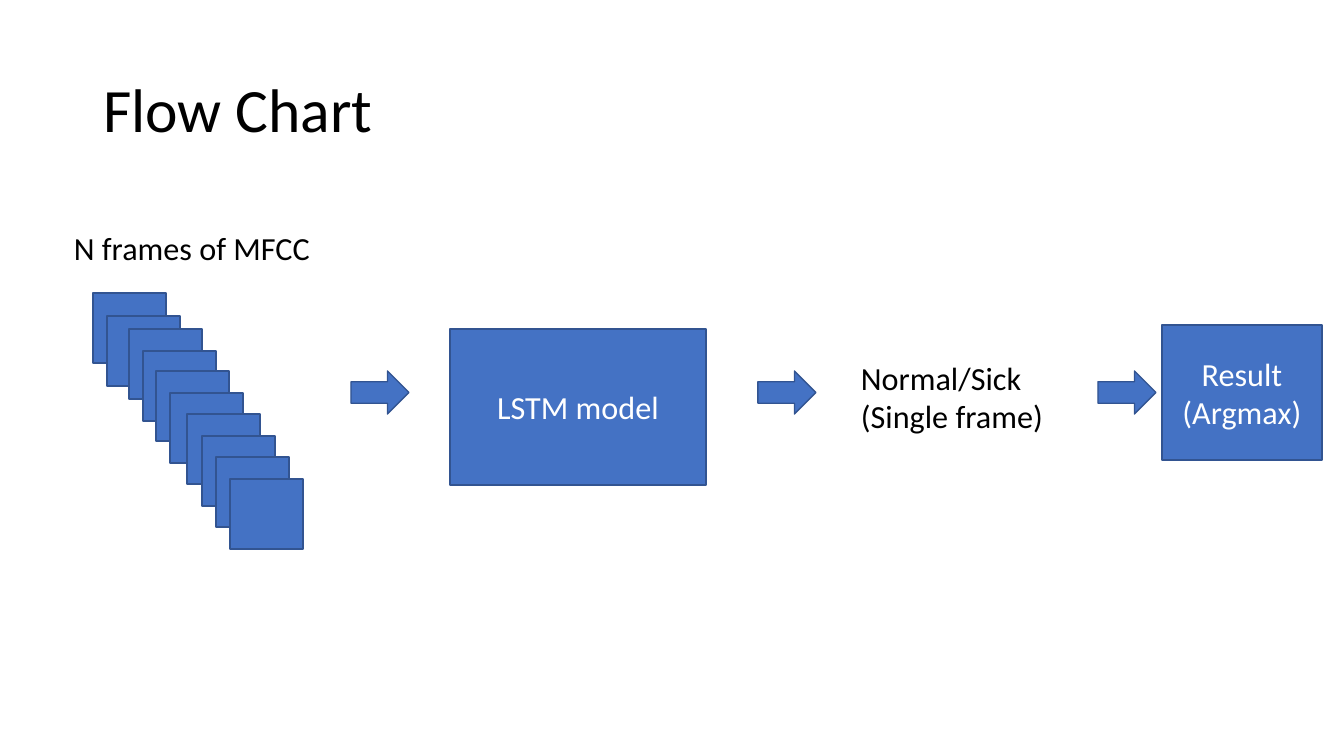
from pptx import Presentation
from pptx.dml.color import RGBColor
from pptx.enum.shapes import MSO_SHAPE
from pptx.enum.text import MSO_ANCHOR, MSO_AUTO_SIZE, PP_ALIGN
from pptx.util import Emu, Pt

RECTANGLE = MSO_SHAPE.RECTANGLE
RIGHT_ARROW = MSO_SHAPE.RIGHT_ARROW
MIDDLE = MSO_ANCHOR.MIDDLE
TOP = MSO_ANCHOR.TOP
GROW = MSO_AUTO_SIZE.SHAPE_TO_FIT_TEXT
NO_FIT = MSO_AUTO_SIZE.NONE
LEFT = PP_ALIGN.LEFT
CENTER = PP_ALIGN.CENTER

EMU_PER_PIXEL = 914400 / 100.8
FONT = "Calibri"
BLACK = "000000"
WHITE = "FFFFFF"
BLUE = "4472C4"
DARK_BLUE = "325491"

FRAME_CORNERS = [
    (93, 293), (107, 316), (129, 329), (143, 351), (156, 371),
    (170, 393), (187, 414), (202, 436), (216, 457), (230, 479),
]
ARROW_LEFTS = [351, 758, 1098]


def px(pixels):
    """Turn whole pixels into EMU."""
    return Emu(round(pixels * EMU_PER_PIXEL))


def color(hex_string):
    """Turn a hex string into a colour."""
    return RGBColor.from_string(hex_string)


def write(frame, lines, size, hex_string, align=LEFT, anchor=TOP):
    """Fill a text frame with one paragraph per line."""
    frame.text = "\n".join(lines)
    frame.vertical_anchor = anchor
    for para in frame.paragraphs:
        para.alignment = align
        para.font.name = FONT
        para.font.size = Pt(size)
        para.font.color.rgb = color(hex_string)


def add_title(page, text, left, top, width, height):
    """Place and format the title placeholder."""
    title = page.shapes.title
    title.left, title.top = px(left), px(top)
    title.width, title.height = px(width), px(height)
    write(title.text_frame, [text], 44, BLACK, anchor=MIDDLE)
    title.text_frame.auto_size = NO_FIT
    title.text_frame.paragraphs[0].line_spacing = 0.9


def add_block(page, kind, left, top, width, height, lines=()):
    """Add a blue outlined shape, with centred white text if given."""
    block = page.shapes.add_shape(kind, px(left), px(top), px(width), px(height))
    block.shadow.inherit = False
    block.fill.solid()
    block.fill.fore_color.rgb = color(BLUE)
    block.line.color.rgb = color(DARK_BLUE)
    block.line.width = Pt(1)
    if lines:
        write(block.text_frame, lines, 23, WHITE, CENTER, MIDDLE)


def add_label(page, left, top, width, height, lines):
    """Add an unwrapped black text label."""
    box = page.shapes.add_textbox(px(left), px(top), px(width), px(height))
    write(box.text_frame, lines, 23, BLACK)
    box.text_frame.word_wrap = False
    box.text_frame.auto_size = GROW


def main():
    """Build the flow chart slide and save it."""
    deck = Presentation()
    deck.slide_width, deck.slide_height = px(1344), px(756)
    page = deck.slides.add_slide(deck.slide_layouts[5])
    add_title(page, "Flow Chart", 93, 40, 1159, 146)
    for left, top in FRAME_CORNERS:
        add_block(page, RECTANGLE, left, top, 73, 70)
    for left in ARROW_LEFTS:
        add_block(page, RIGHT_ARROW, left, 371, 58, 43)
    add_label(page, 64, 223, 259, 49, ["N frames of MFCC"])
    add_block(page, RECTANGLE, 450, 329, 256, 156, ["LSTM model"])
    add_label(page, 851, 353, 205, 89, ["Normal/Sick", "(Single frame)"])
    add_block(page, RECTANGLE, 1162, 325, 160, 135, ["Result", "(Argmax)"])
    deck.save("out.pptx")


main()
